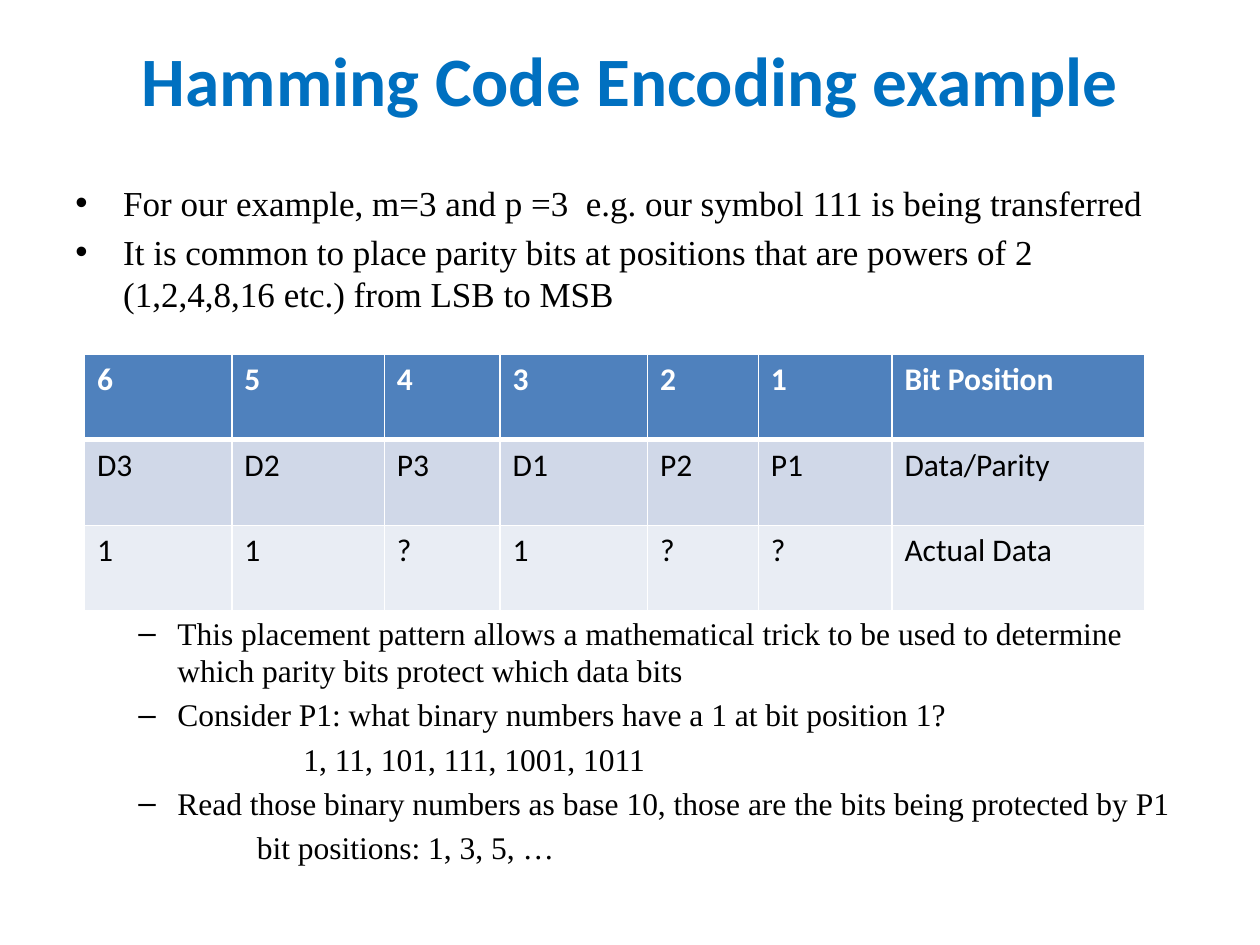
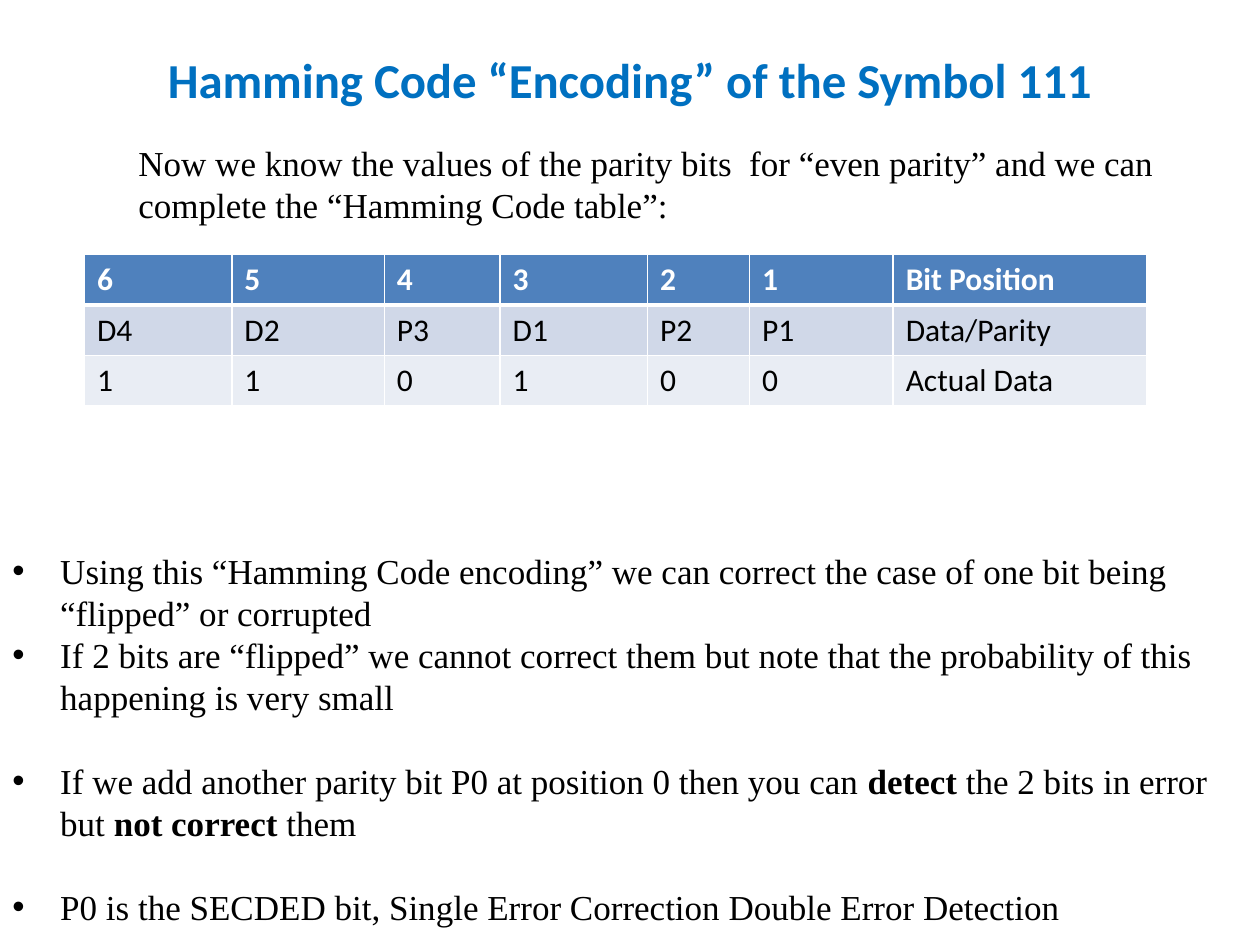
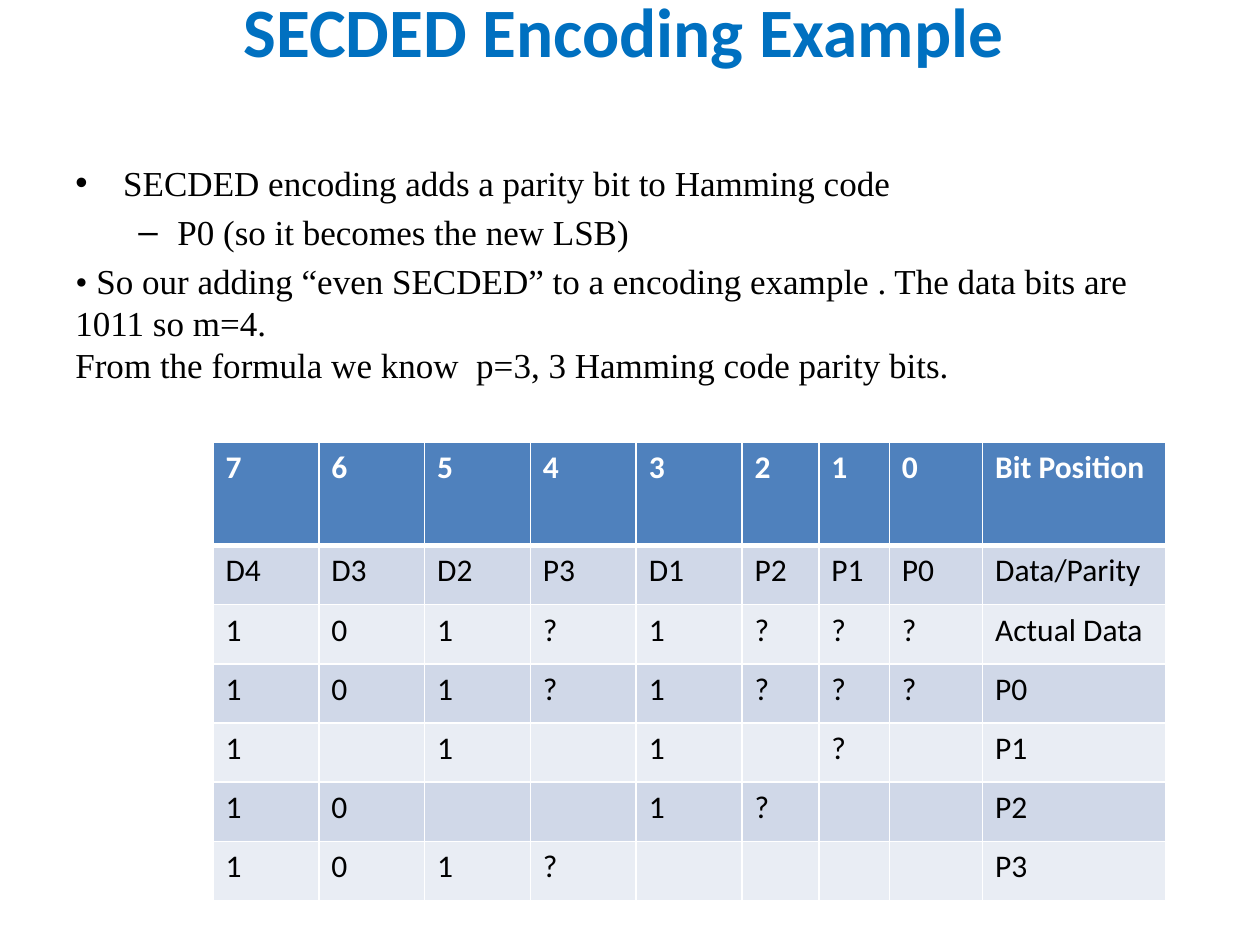
from dataclasses import dataclass

from lxml.etree import SubElement
from pptx import Presentation
from pptx.dml.color import RGBColor
from pptx.enum.text import MSO_ANCHOR as Anchor, PP_ALIGN as Align
from pptx.oxml.ns import qn
from pptx.util import Inches, Pt


@dataclass(frozen=True)
class Theme:
    title_color: str = "0070C0"
    ink: str = "000000"
    white: str = "FFFFFF"
    header_fill: str = "4F81BD"
    bands: tuple = ("D0D8E8", "E9EDF4")
    heading_font: str = "Calibri"
    body_font: str = "Times New Roman"
    title_size: float = 39.6
    small_title_size: float = 27.9
    body_size: float = 20
    detail_size: float = 18
    table_size: float = 18


THEME = Theme()

# Paragraph kinds: left margin, first-line indent, bullet, size, space before
KINDS = {
    "item": (0.38, -0.38, "•", THEME.body_size, 4),
    "tight item": (0.38, -0.38, "•", THEME.body_size, 0),
    "spaced item": (0.38, -0.38, "•", THEME.body_size, 24),
    "sub item": (0.81, -0.31, "–", THEME.body_size, 4),
    "detail": (0.81, -0.31, "–", THEME.detail_size, 3.6),
    "numbers": (1.81, 0, None, THEME.detail_size, 3.6),
    "positions": (1.44, 0, None, THEME.detail_size, 3.6),
    "intro": (0.5, 0, None, THEME.body_size, 0),
    "plain": (0, 0, None, THEME.body_size, 4),
}

# Content: boxes are (left, top, width, height); ** marks bold words
SLIDES = [
    {
        "title": ("Hamming Code Encoding example", THEME.title_size, (0.5, 0.3, 9, 1.25)),
        "texts": [
            ((0.5, 1.39, 9, 1.3), [
                ("item", "For our example, m=3 and p =3  e.g. our symbol 111 is being transferred"),
                ("item", "It is common to place parity bits at positions that are powers of 2 "
                         "(1,2,4,8,16 etc.) from LSB to MSB"),
            ]),
            ((0.5, 4.82, 9, 2.68), [
                ("detail", "This placement pattern allows a mathematical trick to be used to "
                           "determine which parity bits protect which data bits"),
                ("detail", "Consider P1: what binary numbers have a 1 at bit position 1?"),
                ("numbers", "1, 11, 101, 111, 1001, 1011"),
                ("detail", "Read those binary numbers as base 10, those are the bits being "
                           "protected by P1"),
                ("positions", "bit positions: 1, 3, 5, …"),
            ]),
        ],
        "table": {
            "corner": (0.67, 2.81),
            "columns": [1.17, 1.21, 0.92, 1.17, 0.88, 1.06, 2.01],
            "header_height": 0.68, "row_height": 0.68,
            "rows": [
                ["6", "5", "4", "3", "2", "1", "Bit Position"],
                ["D3", "D2", "P3", "D1", "P2", "P1", "Data/Parity"],
                ["1", "1", "?", "1", "?", "?", "Actual Data"],
            ],
        },
    },
    {
        "title": ("Hamming Code “Encoding” of the Symbol 111", THEME.small_title_size,
                  (0.5, 0.3, 9, 1.25)),
        "texts": [
            ((0.5, 1.07, 9, 0.9), [
                ("intro", "Now we know the values of the parity bits  for “even parity” and we "
                          "can complete the “Hamming Code table”:"),
            ]),
            ((0, 4.31, 10, 3.13), [
                ("tight item", "Using this “Hamming Code encoding” we can correct the case of one "
                               "bit being “flipped” or corrupted"),
                ("tight item", "If 2 bits are “flipped” we cannot correct them but note that the "
                               "probability of this happening is very small"),
                ("spaced item", "If we add another parity bit P0 at position 0 then you can "
                                "**detect **the 2 bits in error but **not correct **them"),
                ("spaced item", "P0 is the SECDED bit, Single Error Correction Double Error "
                                "Detection"),
            ]),
        ],
        "table": {
            "corner": (0.67, 2.02),
            "columns": [1.17, 1.21, 0.92, 1.17, 0.81, 1.14, 2.01],
            "header_height": 0.4, "row_height": 0.4,
            "rows": [
                ["6", "5", "4", "3", "2", "1", "Bit Position"],
                ["D4", "D2", "P3", "D1", "P2", "P1", "Data/Parity"],
                ["1", "1", "0", "1", "0", "0", "Actual Data"],
            ],
        },
    },
    {
        "title": ("SECDED Encoding Example", THEME.title_size, (0.45, 0, 9, 1.07)),
        "texts": [
            ((0.5, 1.23, 9, 2.1), [
                ("item", "SECDED encoding adds a parity bit to Hamming code"),
                ("sub item", "P0 (so it becomes the new LSB)"),
                ("plain", "• So our adding “even SECDED” to a encoding example . The data bits "
                          "are 1011 so m=4.\vFrom the formula we know  p=3, 3 Hamming code "
                          "parity bits."),
            ]),
        ],
        "table": {
            "corner": (1.69, 3.51),
            "columns": [0.84] * 5 + [0.61, 0.56, 0.74, 1.45],
            "header_height": 0.82, "row_height": 0.47,
            "rows": [
                ["7", "6", "5", "4", "3", "2", "1", "0", "Bit Position"],
                ["D4", "D3", "D2", "P3", "D1", "P2", "P1", "P0", "Data/Parity"],
                ["1", "0", "1", "?", "1", "?", "?", "?", "Actual Data"],
                ["1", "0", "1", "?", "1", "?", "?", "?", "P0"],
                ["1", "", "1", "", "1", "", "?", "", "P1"],
                ["1", "0", "", "", "1", "?", "", "", "P2"],
                ["1", "0", "1", "?", "", "", "", "", "P3"],
            ],
        },
    },
]


def style_font(font, name, size, color, bold=False):
    font.name, font.size, font.bold = name, Pt(size), bold
    font.color.rgb = RGBColor.from_string(color)


def add_box(page, place):
    box = page.shapes.add_textbox(*map(Inches, place))
    box.text_frame.word_wrap = True
    return box


def add_title(page, text, size, place):
    frame = add_box(page, place).text_frame
    frame.vertical_anchor = Anchor.MIDDLE
    frame.margin_bottom = Inches(0.65)  # keeps the title in the upper part
    frame.text = text
    para = frame.paragraphs[0]
    para.alignment = Align.CENTER
    style_font(para.runs[0].font, THEME.heading_font, size, THEME.title_color, True)


def add_paragraphs(page, place, entries):
    frame = add_box(page, place).text_frame
    for index, (kind, text) in enumerate(entries):
        margin, indent, bullet, size, gap = KINDS[kind]
        para = frame.add_paragraph() if index else frame.paragraphs[0]
        para.space_before = Pt(gap if index else 0)
        properties = para._p.get_or_add_pPr()
        properties.set("marL", str(Inches(margin)))
        properties.set("indent", str(Inches(indent)))
        if bullet:
            SubElement(properties, qn("a:buFont"), typeface="Arial")
            SubElement(properties, qn("a:buChar"), char=bullet)
        if "**" in text:
            for part, words in enumerate(text.split("**")):
                span = para.add_run()
                span.text = words
                style_font(span.font, THEME.body_font, size, THEME.ink, part % 2 == 1)
        else:
            para.text = text
            for span in para.runs:
                style_font(span.font, THEME.body_font, size, THEME.ink)


def set_borders(cell, row):
    widths = {"L": 1, "R": 1, "T": 3 if row == 1 else 1, "B": 3 if row == 0 else 1}
    properties = cell._tc.get_or_add_tcPr()
    for side, width in widths.items():
        line = SubElement(properties, qn(f"a:ln{side}"), w=str(Pt(width)))
        fill = SubElement(line, qn("a:solidFill"))
        SubElement(fill, qn("a:srgbClr"), val=THEME.white)


def add_bit_table(page, corner, columns, header_height, row_height, rows):
    heights = [header_height] + [row_height] * (len(rows) - 1)
    place = (*corner, sum(columns), sum(heights))
    table = page.shapes.add_table(len(rows), len(columns), *map(Inches, place)).table
    for column, width in zip(table.columns, columns):
        column.width = Inches(width)
    for row, (height, texts) in enumerate(zip(heights, rows)):
        table.rows[row].height = Inches(height)
        header = row == 0
        color = THEME.white if header else THEME.ink
        shade = THEME.header_fill if header else THEME.bands[(row - 1) % 2]
        for cell, text in zip(table.rows[row].cells, texts):
            set_borders(cell, row)
            cell.fill.solid()
            cell.fill.fore_color.rgb = RGBColor.from_string(shade)
            cell.text = text
            for span in cell.text_frame.paragraphs[0].runs:
                style_font(span.font, THEME.heading_font, THEME.table_size, color, header)


def main():
    deck = Presentation()
    deck.slide_width, deck.slide_height = Inches(10), Inches(7.5)
    for content in SLIDES:
        page = deck.slides.add_slide(deck.slide_layouts[6])
        add_title(page, *content["title"])
        for place, entries in content["texts"]:
            add_paragraphs(page, place, entries)
        add_bit_table(page, **content["table"])
    deck.save("out.pptx")


if __name__ == "__main__":
    main()
